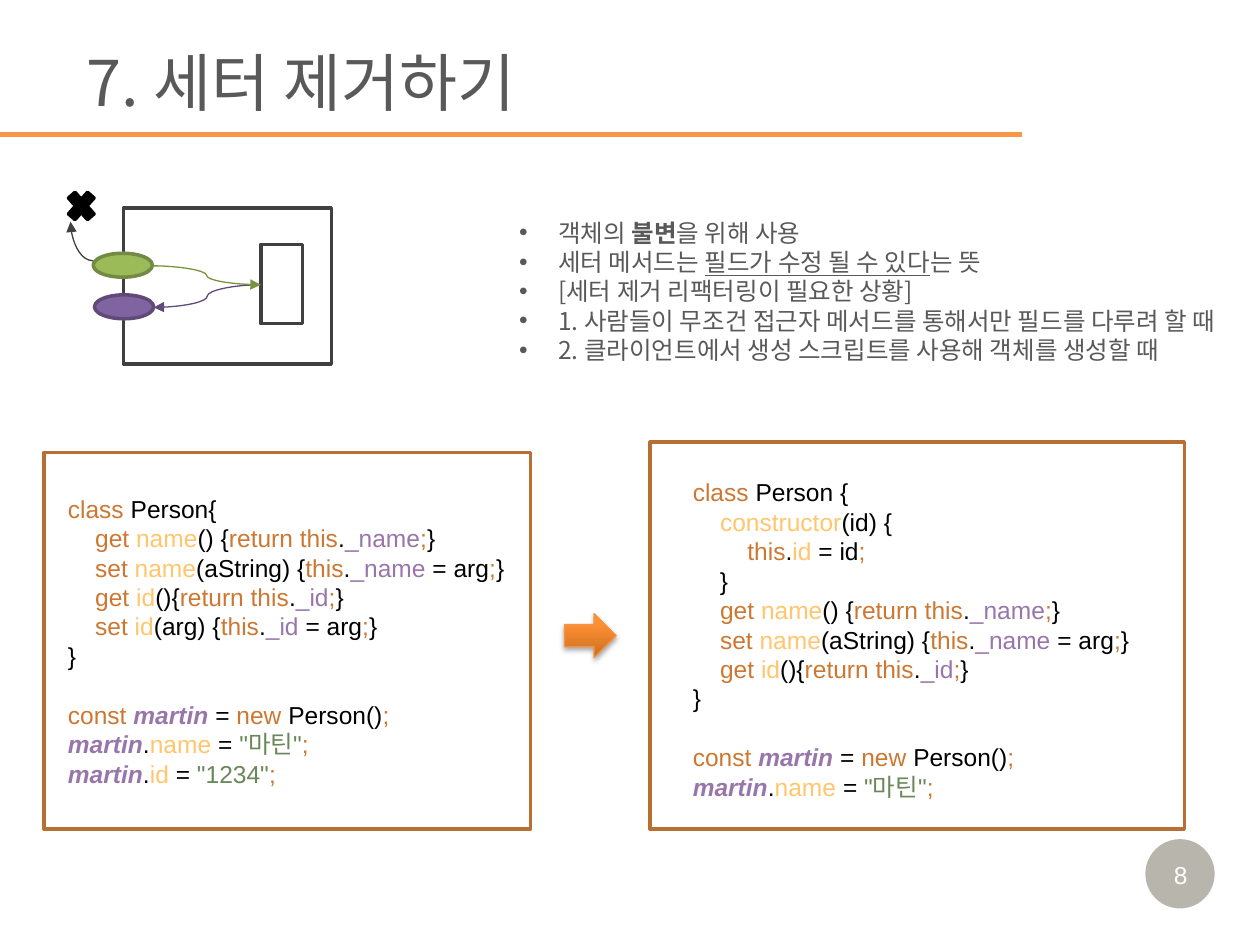
from lxml.etree import SubElement
from pptx import Presentation
from pptx.dml.color import RGBColor
from pptx.enum.shapes import MSO_CONNECTOR, MSO_SHAPE
from pptx.enum.text import MSO_ANCHOR, PP_ALIGN
from pptx.oxml import parse_xml
from pptx.oxml.ns import nsdecls, qn
from pptx.util import Inches, Pt

KOREAN = "Noto Sans CJK KR"
GRAY, DARK = "595959", "404040"
KEYWORD, PLAIN, MEMBER, FIELD, STRING = "CC7832", "000000", "FFC66D", "9876AA", "6A8759"


def rgb(value):
    return RGBColor.from_string(value)


def add_run(paragraph, text, color, size=14, font=KOREAN, bold=False, italic=False, underline=False):
    run = paragraph.add_run()
    run.text = text
    run.font.size, run.font.name = Pt(size), font
    run.font.bold, run.font.italic, run.font.underline = bold, italic, underline
    run.font.color.rgb = rgb(color)
    SubElement(run.font._element, qn("a:ea"), typeface=KOREAN)


prs = Presentation()
prs.slide_width, prs.slide_height = Inches(10), Inches(7.5)
slide = prs.slides.add_slide(prs.slide_layouts[0])
shapes = slide.shapes

# Title
title = shapes.title
title.left, title.top, title.width, title.height = (Inches(v) for v in (0.59, 0.29, 9.41, 0.71))
title.text_frame.vertical_anchor = MSO_ANCHOR.MIDDLE
heading = title.text_frame.paragraphs[0]
heading.alignment = PP_ALIGN.JUSTIFY
add_run(heading, "7. 세터 제거하기", GRAY, 36)

# Reasons: (text, style) runs per bullet
reasons = [
    [("객체의 ", {}), ("불변", {"bold": True}), ("을 위해 사용", {})],
    [("세터 메서드는 ", {}), ("필드가 수정 될 수 있다", {"underline": True}), ("는 뜻", {})],
    [("[세터 제거 리팩터링이 필요한 상황]", {})],
    [("1. 사람들이 무조건 접근자 메서드를 통해서만 필드를 다루려 할 때", {})],
    [("2. 클라이언트에서 생성 스크립트를 사용해 객체를 생성할 때", {})],
]
body = slide.placeholders[1]
body.left, body.top, body.width, body.height = (Inches(v) for v in (4.02, 1.35, 5.99, 1.92))
body.text_frame.vertical_anchor = MSO_ANCHOR.MIDDLE
for index, reason in enumerate(reasons):
    bullet = body.text_frame.paragraphs[0] if index == 0 else body.text_frame.add_paragraph()
    props = bullet._p.get_or_add_pPr()
    props.set("marL", str(Inches(0.31)))
    props.set("indent", str(-Inches(0.31)))
    SubElement(props, qn("a:buFont"), typeface="Arial")
    SubElement(props, qn("a:buChar"), char="•")
    bullet.alignment = PP_ALIGN.LEFT
    bullet.space_before = Pt(0)
    for text, style in reason:
        add_run(bullet, text, GRAY, **style)

# Frames, ellipses and the cross: preset, box, fill, line colour
outlines = [
    (MSO_SHAPE.RECTANGLE, (0.35, 3.59, 3.86, 2.99), None, "B76F34"),
    (MSO_SHAPE.RECTANGLE, (5.16, 3.51, 4.24, 3.07), None, "B76F34"),
    (MSO_SHAPE.RECTANGLE, (0.98, 1.65, 1.65, 1.24), None, DARK),
    (MSO_SHAPE.RECTANGLE, (2.07, 1.94, 0.33, 0.63), None, DARK),
    (MSO_SHAPE.OVAL, (0.74, 2.01, 0.47, 0.19), "9BBB59", "738A42"),
    (MSO_SHAPE.OVAL, (0.75, 2.34, 0.47, 0.19), "8064A2", "5F4A78"),
    (MSO_SHAPE.MATH_MULTIPLY, (0.5, 1.47, 0.29, 0.33), "000000", "000000"),
]
for preset, box, fill, line in outlines:
    outline = shapes.add_shape(preset, *(Inches(v) for v in box))
    outline.shadow.inherit = False
    if fill:
        outline.fill.solid()
        outline.fill.fore_color.rgb = rgb(fill)
    else:
        outline.fill.background()
    outline.line.color.rgb = rgb(line)
    outline.line.width = Pt(2)

# Title rule and access arrows: kind, start and end, colour, width, preset
STRAIGHT, CURVE = MSO_CONNECTOR.STRAIGHT, MSO_CONNECTOR.CURVE
connectors = [
    (STRAIGHT, (0, 1.07, 8.11, 1.07), "F79646", 3, "line"),
    (CURVE, (2.07, 2.26, 1.22, 2.44), "604A7B", 0.75, "curvedConnector3"),
    (CURVE, (1.21, 2.11, 2.07, 2.26), "77933C", 0.75, "curvedConnector3"),
    (CURVE, (0.74, 2.07, 0.56, 1.76), DARK, 0.75, "curvedConnector2"),
]
for kind, ends, color, width, preset in connectors:
    connector = shapes.add_connector(kind, *(Inches(v) for v in ends))
    connector.line.color.rgb = rgb(color)
    connector.line.width = Pt(width)
    props = connector._element.spPr
    props.find(qn("a:prstGeom")).set("prst", preset)
    if kind == CURVE:
        SubElement(props.find(qn("a:ln")), qn("a:tailEnd"), type="triangle")
    SubElement(props, qn("a:effectLst"))

# Before-to-after arrow with gradient and soft shadow
arrow = shapes.add_shape(MSO_SHAPE.RIGHT_ARROW, Inches(4.48), Inches(4.87), Inches(0.41), Inches(0.35))
arrow.line.color.rgb = rgb("F69240")
arrow.line.width = Pt(0.75)
stops = "".join(
    f'<a:gs pos="{position * 1000}"><a:srgbClr val="{color}"/></a:gs>'
    for position, color in ((0, "CC6E20"), (80, "FF9034"), (100, "FF9136"))
)
arrow_line = arrow._element.spPr.find(qn("a:ln"))
arrow_line.addprevious(parse_xml(
    f'<a:gradFill {nsdecls("a")} rotWithShape="1"><a:gsLst>{stops}</a:gsLst>'
    '<a:lin ang="16200000" scaled="0"/></a:gradFill>'))
arrow_line.addnext(parse_xml(
    f'<a:effectLst {nsdecls("a")}><a:outerShdw blurRad="{Pt(3.1)}" dist="{Pt(1.8)}" dir="5400000" '
    'rotWithShape="0"><a:srgbClr val="000000"><a:alpha val="35000"/></a:srgbClr></a:outerShdw></a:effectLst>'))

# Code: each line is a list of (text, colour) runs
get_name = [("    ", PLAIN), ("get ", KEYWORD), ("name", MEMBER), ("() {", PLAIN), ("return this", KEYWORD),
            (".", PLAIN), ("_name", FIELD), (";", KEYWORD), ("}", PLAIN)]
set_name = [("    ", PLAIN), ("set ", KEYWORD), ("name", MEMBER), ("(aString) {", PLAIN), ("this", KEYWORD),
            (".", PLAIN), ("_name ", FIELD), ("= arg", PLAIN), (";", KEYWORD), ("}", PLAIN)]
get_id = [("    ", PLAIN), ("get ", KEYWORD), ("id", MEMBER), ("(){", PLAIN), ("return this", KEYWORD),
          (".", PLAIN), ("_id", FIELD), (";", KEYWORD), ("}", PLAIN)]
set_id = [("    ", PLAIN), ("set ", KEYWORD), ("id", MEMBER), ("(arg) {", PLAIN), ("this", KEYWORD),
          (".", PLAIN), ("_id ", FIELD), ("= arg", PLAIN), (";", KEYWORD), ("}", PLAIN)]
constructor = [
    [("    ", PLAIN), ("constructor", MEMBER), ("(id) {", PLAIN)],
    [("        ", PLAIN), ("this", KEYWORD), (".", PLAIN), ("id ", MEMBER), ("= id", PLAIN), (";", KEYWORD)],
    [("    }", PLAIN)],
]
usage = [
    [("}", PLAIN)],
    [],
    [("const ", KEYWORD), ("martin ", FIELD), ("= ", PLAIN), ("new ", KEYWORD), ("Person()", PLAIN), (";", KEYWORD)],
    [("martin", FIELD), (".", PLAIN), ("name ", MEMBER), ("= ", PLAIN), ('"마틴"', STRING), (";", KEYWORD)],
]
assign_id = [("martin", FIELD), (".", PLAIN), ("id ", MEMBER), ("= ", PLAIN), ('"1234"', STRING), (";", KEYWORD)]
before = [[("class ", KEYWORD), ("Person{", PLAIN)], get_name, set_name, get_id, set_id, *usage, assign_id]
after = [[("class ", KEYWORD), ("Person {", PLAIN)], *constructor, get_name, set_name, get_id, *usage]

for box, lines in (((0.44, 3.87, 3.69, 2.46), before), ((5.4, 3.74, 3.76, 2.69), after)):
    listing = shapes.add_textbox(*(Inches(v) for v in box))
    listing.text_frame.word_wrap = True
    code = listing.text_frame.paragraphs[0]
    for index, line in enumerate(lines):
        if index:
            code.add_line_break()
            SubElement(code._p[-1], qn("a:rPr"), sz="1400")
        for text, color in line:
            variable = text.strip() == "martin"
            add_run(code, text, color, font="Arial", bold=variable, italic=variable)

# Page number badge
badge = shapes.add_shape(MSO_SHAPE.OVAL, Inches(9.09), Inches(6.66), Inches(0.55), Inches(0.55))
badge.shadow.inherit = False
badge.fill.solid()
badge.fill.fore_color.rgb = rgb("4A452A")
SubElement(badge._element.spPr.find(qn("a:solidFill"))[0], qn("a:alpha"), val="39000")
badge.line.fill.background()
number = shapes.add_textbox(Inches(9.15), Inches(6.78), Inches(0.44), Inches(0.34))
number.text_frame.word_wrap = False
page = number.text_frame.paragraphs[0]
page.alignment = PP_ALIGN.CENTER
add_run(page, "8", "FFFFFF", font="Arial")

prs.save("out.pptx")
